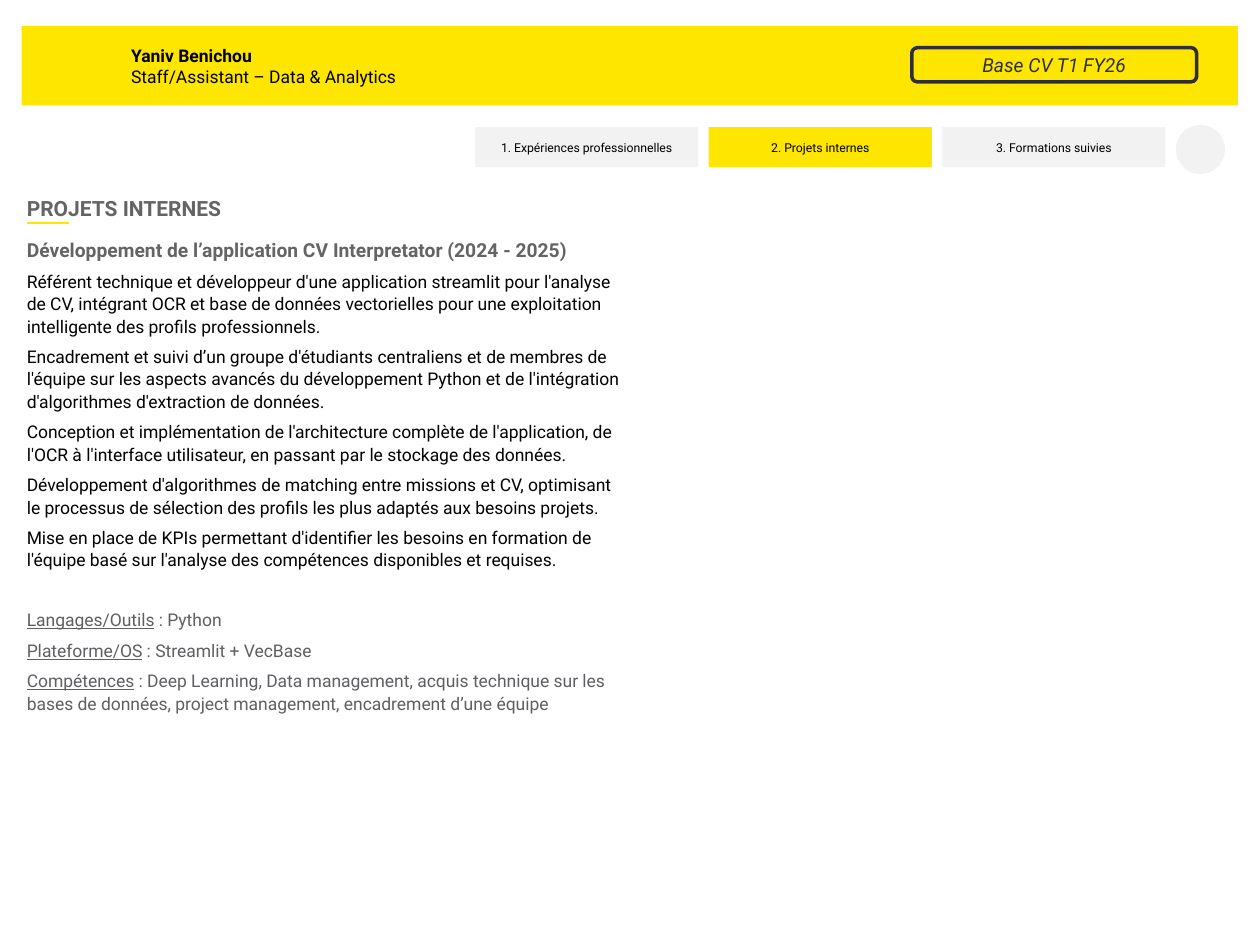
from pptx import Presentation
from pptx.dml.color import RGBColor
from pptx.enum.shapes import MSO_CONNECTOR, MSO_SHAPE
from pptx.enum.text import MSO_ANCHOR as Anchor, MSO_AUTO_SIZE as AutoSize, PP_ALIGN as Align
from pptx.oxml.ns import qn
from pptx.util import Pt
from lxml.etree import SubElement

FONT = "Roboto"
COLORS = {
    "yellow": "FFE600", "light": "F2F2F2", "dark": "2E2E38",
    "heading": "646464", "detail": "5F5E62", "black": "000000",
}
TABS = ["1. Expériences professionnelles", "2. Projets internes", "3. Formations suivies"]
ACTIVE_TAB = 1
PROJECT = "Développement de l’application CV Interpretator (2024 - 2025)"
TASKS = [
    "Référent technique et développeur d'une application streamlit pour l'analyse de CV, "
    "intégrant OCR et base de données vectorielles pour une exploitation intelligente des "
    "profils professionnels.",
    "Encadrement et suivi d’un groupe d'étudiants centraliens et de membres de l'équipe sur "
    "les aspects avancés du développement Python et de l'intégration d'algorithmes "
    "d'extraction de données.",
    "Conception et implémentation de l'architecture complète de l'application, de l'OCR à "
    "l'interface utilisateur, en passant par le stockage des données.",
    "Développement d'algorithmes de matching entre missions et CV, optimisant le processus "
    "de sélection des profils les plus adaptés aux besoins projets.",
    "Mise en place de KPIs permettant d'identifier les besoins en formation de l'équipe basé "
    "sur l'analyse des compétences disponibles et requises.",
]
DETAILS = [
    ("Langages/Outils", "Python"),
    ("Plateforme/OS", "Streamlit + VecBase"),
    ("Compétences", "Deep Learning, Data management, acquis technique sur les bases de "
                    "données, project management, encadrement d’une équipe"),
]


def rgb(name):
    """Return the named palette colour."""
    return RGBColor.from_string(COLORS[name])


def style(run, size, color, bold=False, italic=False, underline=False):
    """Format one run of text."""
    font = run.font
    font.name, font.size = FONT, Pt(size)
    font.bold, font.italic, font.underline = bold, italic, underline
    font.color.rgb = rgb(color)


def set_frame(text_frame, anchor, left=0):
    """Set the anchor and insets of a wrapping text frame."""
    text_frame.word_wrap = True
    text_frame.auto_size = AutoSize.NONE
    text_frame.vertical_anchor = anchor
    text_frame.margin_left = Pt(left)
    text_frame.margin_top = text_frame.margin_right = text_frame.margin_bottom = 0


def place(shape, box):
    """Move a placeholder to a box given in points."""
    shape.left, shape.top, shape.width, shape.height = map(Pt, box)


def add_box(slide, kind, box, fill=None, line=None):
    """Add a flat preset shape with an optional fill and outline."""
    shape = slide.shapes.add_shape(kind, *map(Pt, box))
    shape.shadow.inherit = False
    if fill:
        shape.fill.solid()
        shape.fill.fore_color.rgb = rgb(fill)
    else:
        shape.fill.background()
    if line:
        shape.line.color.rgb = rgb(line)
        shape.line.width = Pt(2)
    else:
        shape.line.fill.background()
    set_frame(shape.text_frame, Anchor.MIDDLE)
    return shape


def add_label(shape, text, size, color, italic=False):
    """Write one centred line in a shape."""
    paragraph = shape.text_frame.paragraphs[0]
    paragraph.text = text
    paragraph.alignment = Align.CENTER
    style(paragraph.runs[0], size, color, italic=italic)


def add_header(slide, box):
    """Draw the yellow band with the person's name, role and the CV badge."""
    left, top, width, height = box
    band = add_box(slide, MSO_SHAPE.RECTANGLE, box, "yellow")
    set_frame(band.text_frame, Anchor.MIDDLE, left=62.6)
    band.text_frame.text = "Yaniv Benichou\nStaff/Assistant – Data & Analytics"
    for index, paragraph in enumerate(band.text_frame.paragraphs):
        paragraph.alignment = Align.LEFT
        style(paragraph.runs[0], 10, "black", bold=index == 0)
    badge_box = (left + width - 186.4, top + 12.2, 162.8, 19.6)
    badge = add_box(slide, MSO_SHAPE.ROUNDED_RECTANGLE, badge_box, line="dark")
    add_label(badge, "Base CV T1 FY26", 11, "dark", italic=True)


def add_tabs(slide, box, gap=6, dot=28):
    """Draw the equal navigation tabs and the round marker after them."""
    left, top, width, height = box
    tab_width = (width - dot) / len(TABS) - gap
    for index, text in enumerate(TABS):
        tab_box = (left + index * (tab_width + gap), top, tab_width, height)
        fill = "yellow" if index == ACTIVE_TAB else "light"
        add_label(add_box(slide, MSO_SHAPE.RECTANGLE, tab_box, fill), text, 7, "black")
    add_box(slide, MSO_SHAPE.OVAL, (left + width - dot, top - 1.2, dot, dot), "light")


def add_section_title(slide, box):
    """Fill the title placeholder and underline its start."""
    left, top, width, height = box
    title = slide.shapes.title
    place(title, box)
    set_frame(title.text_frame, Anchor.MIDDLE)
    title.text_frame.text = "PROJETS INTERNES"
    paragraph = title.text_frame.paragraphs[0]
    paragraph.alignment = Align.LEFT
    style(paragraph.runs[0], 12, "heading", bold=True)
    base = Pt(top + height - 0.8)
    rule = slide.shapes.add_connector(
        MSO_CONNECTOR.STRAIGHT, Pt(left), base, Pt(left + 24.2), base)
    rule.line.color.rgb = rgb("yellow")
    rule.line.width = Pt(1)
    SubElement(rule._element.spPr, qn("a:effectLst"))


def format_paragraph(paragraph, before=0, spacing=1.07):
    """Set the spacing of a body paragraph and remove its bullet."""
    paragraph.space_before, paragraph.space_after = Pt(before), Pt(4.5)
    paragraph.line_spacing = spacing
    properties = paragraph._p.get_or_add_pPr()
    properties.set("marL", "0")
    properties.set("indent", "0")
    SubElement(properties, qn("a:buNone"))


def add_project(slide, box):
    """Fill the two-column body placeholder with the project description."""
    body = slide.placeholders[1]
    place(body, box)
    text_frame = body.text_frame
    set_frame(text_frame, Anchor.TOP)
    columns = text_frame._txBody.bodyPr
    columns.set("numCol", "2")
    columns.set("spcCol", str(Pt(6)))
    text_frame.text = "\n".join([PROJECT, *TASKS])
    heading, *tasks = text_frame.paragraphs
    format_paragraph(heading, before=6, spacing=1.0)
    style(heading.runs[0], 11, "heading", bold=True)
    for paragraph in tasks:
        format_paragraph(paragraph)
        style(paragraph.runs[0], 10, "black")
    for index, (label, value) in enumerate(DETAILS):
        paragraph = text_frame.add_paragraph()
        format_paragraph(paragraph, before=0 if index else 17)
        for text, underline in ((label, True), (f" : {value}", False)):
            run = paragraph.add_run()
            run.text = text
            style(run, 10, "detail", underline=underline)


def main():
    """Build and save the slide."""
    presentation = Presentation()
    presentation.slide_width, presentation.slide_height = Pt(720), Pt(540)
    slide = presentation.slides.add_slide(presentation.slide_layouts[1])
    add_tabs(slide, (271.5, 72.6, 428.5, 23))
    add_project(slide, (15.3, 136.1, 689, 388.8))
    add_section_title(slide, (15.3, 109.4, 450.7, 18.8))
    add_header(slide, (12.4, 15, 695, 45.2))
    presentation.save("out.pptx")


if __name__ == "__main__":
    main()
